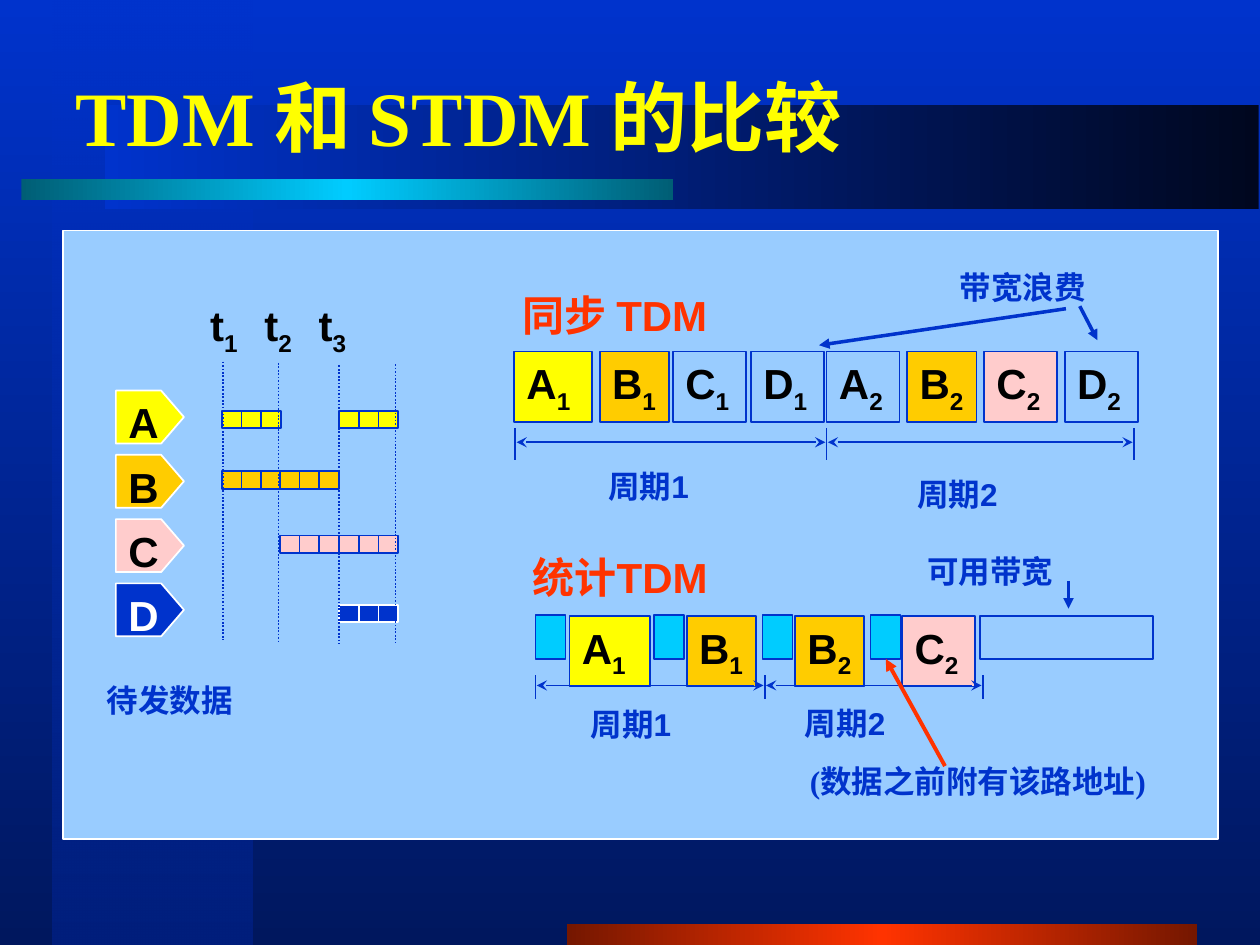
import pptx
import pptx.dml.color
import pptx.enum.dml
import pptx.enum.shapes
import pptx.enum.text
import pptx.oxml
import pptx.oxml.ns
import pptx.util

Inches = pptx.util.Inches
RGBColor = pptx.dml.color.RGBColor
SHAPE = pptx.enum.shapes.MSO_SHAPE
ANCHOR = pptx.enum.text.MSO_ANCHOR
NS = pptx.oxml.ns.nsdecls("a")

BLUE = RGBColor(0x00, 0x33, 0xCC)
NAVY = RGBColor(0x00, 0x17, 0x5E)
MID_BLUE = RGBColor(0x00, 0x1F, 0x7D)
NIGHT = RGBColor(0x00, 0x07, 0x1F)
CYAN = RGBColor(0x00, 0xCC, 0xFF)
TEAL = RGBColor(0x00, 0x5E, 0x75)
RED = RGBColor(0xFF, 0x33, 0x00)
MAROON = RGBColor(0x75, 0x17, 0x00)
PALE_BLUE = RGBColor(0x99, 0xCC, 0xFF)
YELLOW = RGBColor(0xFF, 0xFF, 0x00)
ORANGE = RGBColor(0xFF, 0xCC, 0x00)
PINK = RGBColor(0xFF, 0xCC, 0xCC)
WHITE = RGBColor(0xFF, 0xFF, 0xFF)
BLACK = RGBColor(0x00, 0x00, 0x00)


def write(tf, text, size=18, font="Arial", color=BLUE, wrap=False, anchor=ANCHOR.TOP, tabs=()):
    """Fill a text frame; the character after each underscore is a subscript."""
    tf.word_wrap = wrap
    tf.vertical_anchor = anchor
    p = tf.paragraphs[0]
    p.alignment = pptx.enum.text.PP_ALIGN.LEFT
    if tabs:
        stops = "".join(f'<a:tab pos="{Inches(t)}" algn="l"/>' for t in tabs)
        p._p.get_or_add_pPr().append(pptx.oxml.parse_xml(f"<a:tabLst {NS}>{stops}</a:tabLst>"))
    first, *rest = text.split("_")
    runs = [(first, False)]
    for part in rest:
        runs += [(part[0], True), (part[1:], False)]
    for content, sub in runs:
        if content:
            r = p.add_run()
            r.text = content
            r.font.size = pptx.util.Pt(size)
            r.font.name = font
            r.font.bold = True
            r.font.color.rgb = color
            if sub:
                r._r.get_or_add_rPr().set("baseline", "-25000")


def label(s, x, y, w, h, text, **fmt):
    """Add a text box."""
    write(s.shapes.add_textbox(Inches(x), Inches(y), Inches(w), Inches(h)).text_frame, text, **fmt)


def box(s, x, y, w, h, fill=None, line=BLUE, width=1, kind=SHAPE.RECTANGLE):
    """Add a flat shape with an optional fill and outline."""
    sp = s.shapes.add_shape(kind, Inches(x), Inches(y), Inches(w), Inches(h))
    sp.shadow.inherit = False
    if fill is None:
        sp.fill.background()
    else:
        sp.fill.solid()
        sp.fill.fore_color.rgb = fill
    if line is None:
        sp.line.fill.background()
    else:
        sp.line.color.rgb = line
        sp.line.width = pptx.util.Pt(width)
    return sp


def line(s, x1, y1, x2, y2, color=BLUE, width=1, dotted=False, head=None, tail=None):
    """Add a straight connector with optional arrowheads."""
    c = s.shapes.add_connector(pptx.enum.shapes.MSO_CONNECTOR.STRAIGHT,
                               Inches(x1), Inches(y1), Inches(x2), Inches(y2))
    c.line.color.rgb = color
    c.line.width = pptx.util.Pt(width)
    if dotted:
        c.line.dash_style = pptx.enum.dml.MSO_LINE.ROUND_DOT
    ln = c.line._get_or_add_ln()
    for tag, kind in (("headEnd", head), ("tailEnd", tail)):
        if kind:
            ln.append(pptx.oxml.parse_xml(f'<a:{tag} {NS} type="{kind}"/>'))
    c._element.spPr.append(pptx.oxml.parse_xml(f"<a:effectLst {NS}/>"))
    return c


def gradient(fill, root, colors, angle, alpha=100):
    """Apply evenly spaced gradient stops; alpha is the first stop's opacity."""
    fill.gradient()
    fill.gradient_angle = angle
    stops = next(root.iter(pptx.oxml.ns.qn("a:gsLst")))
    for old in list(stops):
        stops.remove(old)
    for i, color in enumerate(colors):
        opacity = f'<a:alpha val="{alpha * 1000}"/>' if i == 0 and alpha < 100 else ""
        stops.append(pptx.oxml.parse_xml(
            f'<a:gs {NS} pos="{100000 * i // (len(colors) - 1)}">'
            f'<a:srgbClr val="{color}">{opacity}</a:srgbClr></a:gs>'))


def backdrop(s):
    """Paint the background and its decorative bands."""
    gradient(s.background.fill, s._element, (BLUE, NAVY), 270)
    bands = (
        (0.42, 0, 1.58, 7.5, (BLUE, MID_BLUE), 270, 50),
        (4.5, 7.33, 5, 0.17, (MAROON, RED, MAROON), 180, 100),
        (0.83, 0.83, 9.16, 0.83, (NIGHT, BLUE), 180, 100),
        (0.17, 1.42, 5.17, 0.17, (TEAL, CYAN, TEAL), 180, 100),
    )
    for x, y, w, h, colors, angle, alpha in bands:
        sp = box(s, x, y, w, h, line=None)
        gradient(sp.fill, sp._element, colors, angle, alpha)


def burst(s, x, y, fill, edge=BLUE):
    """Draw one data burst split into three units."""
    w, h = 0.47, 0.14
    box(s, x, y, w, h, fill, edge)
    for i in (1, 2):
        line(s, x + i * w / 3, y, x + i * w / 3, y + h, edge)


def sources(s, x, y):
    """Draw the four senders and their data on the time grid."""
    slots = (x + 1.01, x + 1.47, x + 1.94)
    rows = (("A", YELLOW, (0, 2), 0.93), ("B", ORANGE, (0, 1), 1.41),
            ("C", PINK, (1, 2), 1.92), ("D", BLUE, (2,), 2.47))
    for i, (name, fill, used, top) in enumerate(rows):
        row = y + 0.77 + i * 0.51
        sp = box(s, x + 0.17, row, 0.54, 0.42, fill, WHITE, kind=SHAPE.PENTAGON)
        sp.adjustments[0] = 0.43
        dark = name == "D"
        label(s, x + 0.17, row, 0.44, 0.5, name, size=24, color=WHITE if dark else BLACK)
        for slot in used:
            burst(s, slots[slot], y + top, fill, WHITE if dark else BLUE)
    for left, top in ((1.02, 0.54), (1.46, 0.55), (1.94, 0.57), (2.39, 0.56)):
        line(s, x + left, y + top, x + left, y + top + 2.21, dotted=True)
    label(s, x + 0.82, y, 1.29, 0.56, "t_1\tt_2\tt_3", size=24, color=BLACK,
          wrap=True, tabs=(0.43, 0.86))
    label(s, x, y + 3.03, 1.2, 0.4, "待发数据")


def frames(s, y, cells):
    """Draw a row of labelled time slots."""
    for x, w, name, fill in cells:
        write(box(s, x, y, w, 0.56, fill).text_frame, name, size=24, color=BLACK)


def periods(s, y, edges, tick, drop):
    """Draw period marks and the double arrows between them."""
    for x in edges:
        line(s, x, y, x, y + tick)
    for x1, x2 in zip(edges, edges[1:]):
        line(s, x1 + 0.01, y + drop, x2 - 0.01, y + drop, head="stealth", tail="stealth")


def sync_tdm(s, x, y):
    """Draw the synchronous TDM stream with its wasted slots."""
    frames(s, y + 0.71, (
        (x + 0.03, 0.62, "A_1", YELLOW), (x + 0.71, 0.55, "B_1", ORANGE),
        (x + 1.29, 0.58, "C_1", None), (x + 1.91, 0.58, "D_1", None),
        (x + 2.51, 0.58, "A_2", None), (x + 3.15, 0.55, "B_2", ORANGE),
        (x + 3.76, 0.58, "C_2", PINK), (x + 4.4, 0.58, "D_2", None)))
    periods(s, y + 1.32, (x + 0.04, x + 2.51, x + 4.95), 0.25, 0.11)
    label(s, x + 0.68, y + 1.58, 0.9, 0.4, "周期1")
    label(s, x + 3.13, y + 1.64, 0.9, 0.4, "周期2")
    label(s, x, y + 0.17, 1.75, 0.5, "同步 TDM", size=24, color=RED)
    label(s, x + 3.47, y, 1.2, 0.4, "带宽浪费", font="Arial Narrow")
    line(s, x + 4.52, y + 0.35, x + 4.66, y + 0.62, width=2, tail="triangle")
    line(s, x + 4.41, y + 0.37, x + 2.45, y + 0.66, width=2, tail="triangle")


def statistical_tdm(s, x, y):
    """Draw the statistical TDM stream with address headers and spare bandwidth."""
    frames(s, y + 0.56, (
        (x + 0.39, 0.64, "A_1", YELLOW), (x + 1.32, 0.55, "B_1", ORANGE),
        (x + 2.18, 0.55, "B_2", ORANGE), (x + 3.03, 0.58, "C_2", PINK)))
    periods(s, y + 1.03, (x + 0.12, x + 1.94, x + 3.67), 0.19, 0.08)
    label(s, x + 0.46, y + 1.22, 0.9, 0.4, "周期1")
    label(s, x + 2.16, y + 1.21, 0.9, 0.4, "周期2")
    for left in (0.12, 1.06, 1.92, 2.78):
        header = box(s, x + left, y + 0.55, 0.24, 0.35, CYAN, width=0.75)
    box(s, x + 3.65, y + 0.56, 1.37, 0.34)
    label(s, x + 3.13, y, 1.2, 0.4, "可用带宽", font="Arial Narrow")
    line(s, x + 4.35, y + 0.28, x + 4.35, y + 0.5, width=2, tail="triangle")
    label(s, x, y, 1.67, 0.5, "统计TDM", size=24, color=RED)
    label(s, x + 2.2, y + 1.67, 3, 0.4, "(数据之前附有该路地址)", font="Times New Roman", wrap=True)
    c = line(s, x + 3.37, y + 1.75, x + 2.9, y + 0.9, RED, 2.25, tail="triangle")
    c.end_connect(header, 2)


def main():
    """Build and save the slide."""
    prs = pptx.Presentation()
    prs.slide_width, prs.slide_height = Inches(10), Inches(7.5)
    s = prs.slides.add_slide(prs.slide_layouts[6])
    backdrop(s)
    label(s, 0.5, 0.42, 8.5, 1, "TDM 和 STDM 的比较", size=44, font="Times New Roman",
          color=YELLOW, wrap=True, anchor=ANCHOR.MIDDLE)
    box(s, 0.5, 1.83, 9.17, 4.83, PALE_BLUE, WHITE)
    sources(s, 0.75, 2.33)
    sync_tdm(s, 4.05, 2.08)
    statistical_tdm(s, 4.13, 4.33)
    prs.save("out.pptx")


if __name__ == "__main__":
    main()
